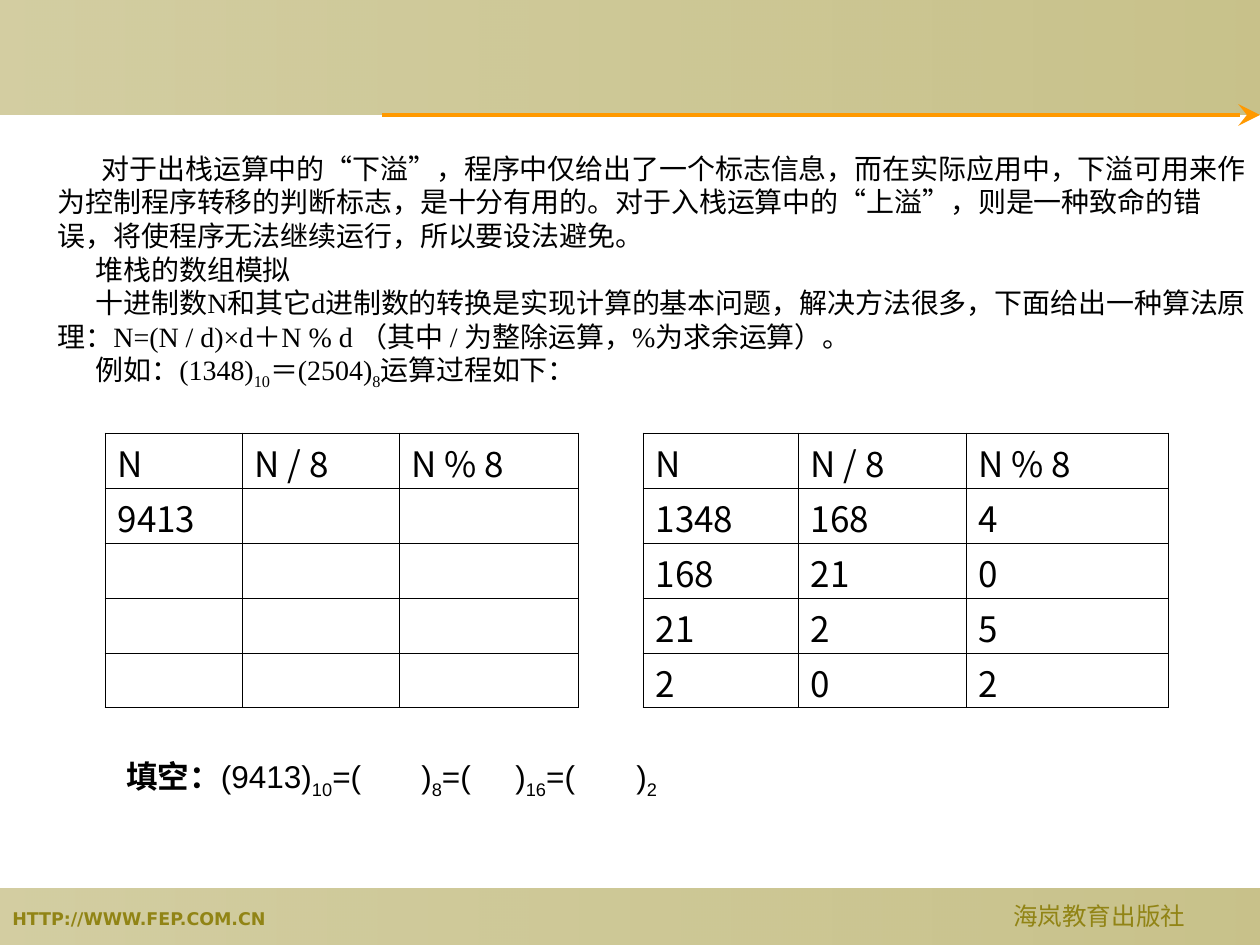
from dataclasses import dataclass

from lxml.etree import SubElement
from pptx import Presentation
from pptx.dml.color import RGBColor
from pptx.enum.shapes import MSO_CONNECTOR, MSO_SHAPE
from pptx.enum.text import MSO_ANCHOR, MSO_AUTO_SIZE
from pptx.oxml.ns import qn
from pptx.util import Emu, Pt

PX_PER_INCH = 126
SLIDE_WIDTH, SLIDE_HEIGHT = 1260, 945
OLIVE, ORANGE, BLACK = "918415", "FF9900", "000000"
CJK_FONT = "Noto Sans CJK SC"


@dataclass
class Box:
    left: int
    top: int
    width: int
    height: int

    def emu(self) -> tuple:
        return tuple(px(v) for v in (self.left, self.top, self.width, self.height))


@dataclass
class Style:
    font: str
    size: int
    color: str = BLACK
    bold: bool = False


@dataclass
class Piece:
    text: str
    style: Style
    subscript: bool = False


@dataclass
class DivisionTable:
    left: int
    columns: list[int]
    rows: list[list[str]]


def px(value: int) -> Emu:
    return Emu(round(value * 914400 / PX_PER_INCH))


def rgb(value: str) -> RGBColor:
    return RGBColor.from_string(value)


def add_run(paragraph, piece: Piece) -> None:
    run = paragraph.add_run()
    run.text = piece.text
    run.font.name = piece.style.font
    run.font.size = Pt(piece.style.size)
    run.font.bold = piece.style.bold
    run.font.color.rgb = rgb(piece.style.color)
    properties = run._r.get_or_add_rPr()
    SubElement(properties, qn("a:ea")).set("typeface", CJK_FONT)
    if piece.subscript:
        properties.set("baseline", "-25000")


def set_indent(paragraph, indent: int) -> None:
    paragraph.space_before = Pt(0)
    properties = paragraph._p.get_or_add_pPr()
    properties.set("marL", "0")
    properties.set("indent", str(px(indent)))
    properties.set("hangingPunct", "0")
    SubElement(properties, qn("a:buNone"))


def set_tabs(paragraph, positions: tuple) -> None:
    # An explicit indent would make LibreOffice drop these stops
    tab_list = SubElement(paragraph._p.get_or_add_pPr(), qn("a:tabLst"))
    for position in positions:
        SubElement(tab_list, qn("a:tab"), pos=str(px(position)), algn="l")


def add_line_of_text(slide, box: Box, pieces: list[Piece], tabs: tuple) -> None:
    frame = slide.shapes.add_textbox(*box.emu()).text_frame
    frame.word_wrap = True
    set_tabs(frame.paragraphs[0], tabs)
    for piece in pieces:
        add_run(frame.paragraphs[0], piece)


def add_band(slide, box: Box) -> None:
    shape = slide.shapes.add_shape(MSO_SHAPE.RECTANGLE, *box.emu())
    shape.shadow.inherit = False
    shape.line.fill.background()
    shape.fill.gradient()
    shape.fill.gradient_angle = 0
    for stop, position, opacity in zip(shape.fill.gradient_stops, (0, 1), (40, 50)):
        stop.position = position
        stop.color.rgb = rgb(OLIVE)
        color = stop._gs.find(qn("a:srgbClr"))
        SubElement(color, qn("a:alpha")).set("val", str(opacity * 1000))


def add_arrow(slide, left: int, right: int, y: int) -> None:
    arrow = slide.shapes.add_connector(
        MSO_CONNECTOR.STRAIGHT, px(left), px(y), px(right), px(y))
    arrow.line.color.rgb = rgb(ORANGE)
    arrow.line.width = Pt(2.5)
    SubElement(arrow.line._get_or_add_ln(), qn("a:tailEnd"),
               type="stealth", w="lg", len="lg")
    SubElement(arrow._element.spPr, qn("a:effectLst"))


def border_cell(cell) -> None:
    properties = cell._tc.get_or_add_tcPr()
    for side in ("a:lnL", "a:lnR", "a:lnT", "a:lnB"):
        line = SubElement(properties, qn(side), w=str(Pt(0.45)))
        fill = SubElement(line, qn("a:solidFill"))
        SubElement(fill, qn("a:srgbClr")).set("val", BLACK)


def add_division_table(slide, data: DivisionTable) -> None:
    row_height = 55
    box = Box(data.left, 433, sum(data.columns), row_height * len(data.rows))
    table = slide.shapes.add_table(
        len(data.rows), len(data.columns), *box.emu()).table
    table.first_row = table.horz_banding = False
    for column, width in zip(table.columns, data.columns):
        column.width = px(width)
    for row, values in zip(table.rows, data.rows):
        row.height = px(row_height)
        for cell, value in zip(row.cells, values):
            cell.margin_top, cell.margin_bottom = px(4), 0
            border_cell(cell)
            cell.fill.background()
            if value:
                add_run(cell.text_frame.paragraphs[0],
                        Piece(value, Style(CJK_FONT, 20)))


def add_body(slide, box: Box, paragraphs: list) -> None:
    body = slide.placeholders[1]
    body.left, body.top, body.width, body.height = box.emu()
    frame = body.text_frame
    frame.word_wrap = True
    frame.auto_size = MSO_AUTO_SIZE.NONE
    frame.vertical_anchor = MSO_ANCHOR.TOP
    for number, (indent, pieces) in enumerate(paragraphs):
        paragraph = frame.add_paragraph() if number else frame.paragraphs[0]
        set_indent(paragraph, indent)
        for piece in pieces:
            add_run(paragraph, piece)


def main() -> None:
    presentation = Presentation()
    presentation.slide_width, presentation.slide_height = px(SLIDE_WIDTH), px(SLIDE_HEIGHT)
    slide = presentation.slides.add_slide(presentation.slide_layouts[1])
    title = slide.shapes.title._element
    title.getparent().remove(title)

    # Bands, footer text and arrow
    add_band(slide, Box(0, 889, SLIDE_WIDTH, 56))
    add_band(slide, Box(0, 0, SLIDE_WIDTH, 115))
    add_line_of_text(slide, Box(0, 895, SLIDE_WIDTH, 43), [
        Piece("HTTP://WWW.FEP.COM.CN", Style("DejaVu Sans", 10, OLIVE, True)),
        Piece("\t海岚教育出版社", Style("Arial", 14, OLIVE)),
    ], tabs=(1001,))
    add_arrow(slide, 382, SLIDE_WIDTH, 115)

    # Explanation
    serif = Style("Times New Roman", 16)
    add_body(slide, Box(45, 145, 1215, 253), [
        (44, [Piece("对于出栈运算中的“下溢”，程序中仅给出了一个标志信息，而在实际应用中，"
                    "下溢可用来作为控制程序转移的判断标志，是十分有用的。对于入栈运算中的“上溢”，"
                    "则是一种致命的错误，将使程序无法继续运行，所以要设法避免。", serif)]),
        (38, [Piece("堆栈的数组模拟", serif)]),
        (38, [Piece("十进制数N和其它d进制数的转换是实现计算的基本问题，解决方法很多，"
                    "下面给出一种算法原理：N=(N / d)×d＋N % d （其中 / 为整除运算，"
                    "%为求余运算）。", serif)]),
        (38, [Piece("例如：(1348)", serif), Piece("10", serif, True),
              Piece("＝(2504)", serif), Piece("8", serif, True),
              Piece("运算过程如下：", serif)]),
    ])

    # Exercise table and worked table
    header = ["N", "N / 8", "N % 8"]
    blank = [""] * 3
    add_division_table(slide, DivisionTable(
        105, [137, 157, 179], [header, ["9413", "", ""], blank, blank, blank]))
    add_division_table(slide, DivisionTable(
        643, [155, 168, 202],
        [header, ["1348", "168", "4"], ["168", "21", "0"], ["21", "2", "5"],
         ["2", "0", "2"]]))

    # Fill-in question, each blank closed at a tab stop
    sans = Style("Arial", 18)
    question = [Piece("填空：", Style("Arial", 18, bold=True))]
    for text, base in (("(9413)", "10"), ("=(\t)", "8"), ("=(\t)", "16"), ("=(\t)", "2")):
        question += [Piece(text, sans), Piece(base, sans, True)]
    add_line_of_text(slide, Box(114, 751, 983, 55), question, tabs=(295, 389, 510))

    presentation.save("out.pptx")


if __name__ == "__main__":
    main()
